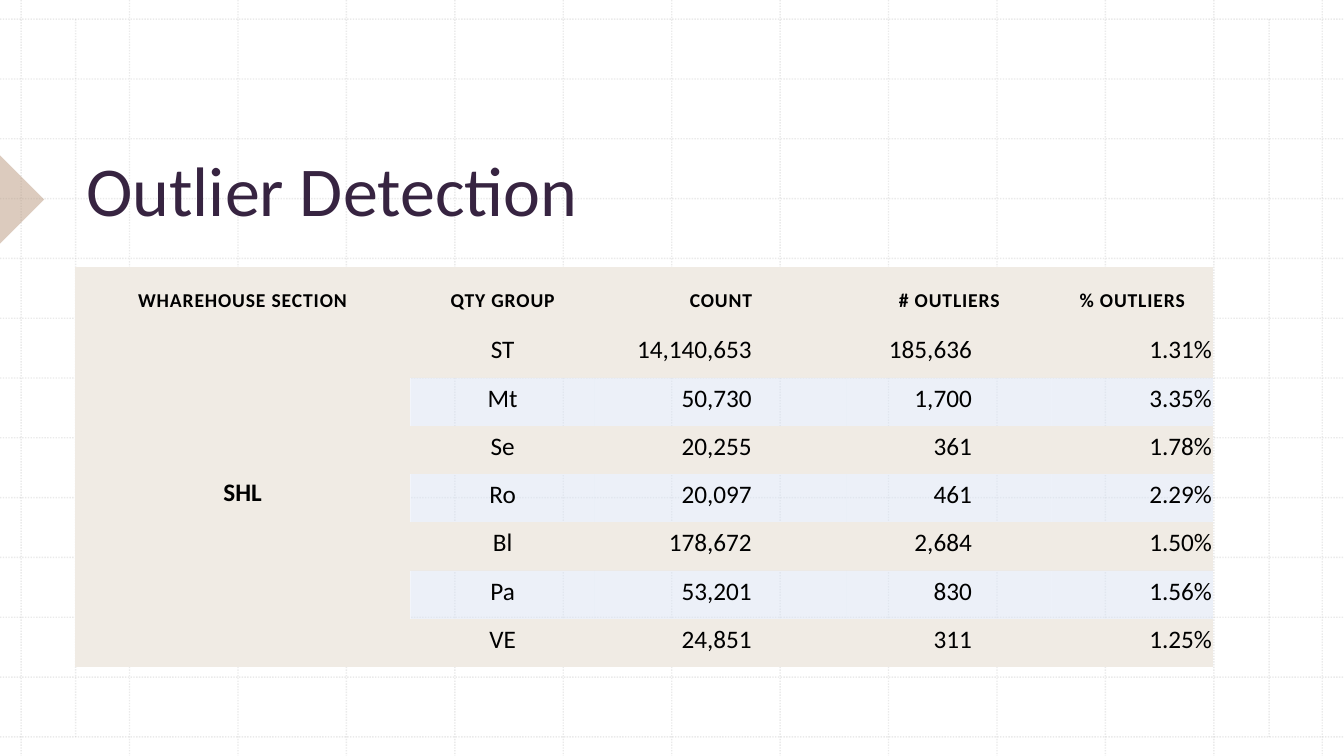
from dataclasses import dataclass

from lxml.etree import SubElement
from pptx import Presentation
from pptx.dml.color import RGBColor
from pptx.enum.dml import MSO_LINE
from pptx.enum.shapes import MSO_CONNECTOR, MSO_SHAPE
from pptx.enum.text import MSO_ANCHOR, PP_ALIGN
from pptx.oxml.ns import qn
from pptx.util import Pt


@dataclass(frozen=True)
class Theme:
    font: str = "Calibri"
    title: RGBColor = RGBColor(0x37, 0x24, 0x41)
    ink: RGBColor = RGBColor(0, 0, 0)
    grid: RGBColor = RGBColor(0xBC, 0xBC, 0xBC)
    marker: RGBColor = RGBColor(0xBA, 0x99, 0x7F)
    sand: RGBColor = RGBColor(0xF0, 0xEB, 0xE4)
    band: RGBColor = RGBColor(0xDA, 0xE3, 0xF3)
    title_size: Pt = Pt(50)
    header_size: Pt = Pt(14)
    body_size: Pt = Pt(18)


def set_opacity(element, percent):
    color = next(element.iter(qn("a:srgbClr")))
    SubElement(color, qn("a:alpha")).set("val", str(percent * 1000))


def style_paragraph(para, size, color, bold=False):
    para.font.name = theme.font
    para.font.size = size
    para.font.bold = bold
    para.font.color.rgb = color


theme = Theme()
width, height = 960, 540
deck = Presentation()
deck.slide_width, deck.slide_height = Pt(width), Pt(height)
page = deck.slides.add_slide(deck.slide_layouts[6])

top, bottom = 13.7, 526.3
verticals = [(15.1 + 77.45 * i, 0, 15.1 + 77.45 * i, height) for i in range(13)]
horizontals = [(0, top + 42.72 * i, width, top + 42.72 * i) for i in range(13)]
margins = [(x, top, x, bottom) for x in (54, 906.5)]
for ends in verticals + horizontals + margins:
    grid_line = page.shapes.add_connector(MSO_CONNECTOR.STRAIGHT, *map(Pt, ends))
    grid_line.line.color.rgb = theme.grid
    grid_line.line.width = Pt(1)
    grid_line.line.dash_style = MSO_LINE.ROUND_DOT
    properties = grid_line._element.spPr
    set_opacity(properties, 30)
    SubElement(properties, qn("a:effectLst"))

marker = page.shapes.add_shape(
    MSO_SHAPE.RIGHT_TRIANGLE, Pt(-22.3), Pt(120.2), Pt(44.6), Pt(44.6)
)
marker.rotation = 225
marker.shadow.inherit = False
marker.line.fill.background()
marker.fill.solid()
marker.fill.fore_color.rgb = theme.marker
set_opacity(marker._element.spPr, 50)

title_box = page.shapes.add_textbox(Pt(54.7), Pt(56.9), Pt(426), Pt(111))
title_box.text_frame.word_wrap = True
title_box.text_frame.vertical_anchor = MSO_ANCHOR.BOTTOM
title = title_box.text_frame.paragraphs[0]
title.text = "Outlier Detection"
style_paragraph(title, theme.title_size, theme.title)

rows = [
    ("WHAREHOUSE SECTION", "QTY GROUP", "COUNT", "# OUTLIERS", "% OUTLIERS"),
    ("SHL", "ST", "14,140,653", "185,636", "1.31%"),
    ("", "Mt", "50,730", "1,700", "3.35%"),
    ("", "Se", "20,255", "361", "1.78%"),
    ("", "Ro", "20,097", "461", "2.29%"),
    ("", "Bl", "178,672", "2,684", "1.50%"),
    ("", "Pa", "53,201", "830", "1.56%"),
    ("", "VE", "24,851", "311", "1.25%"),
]
column_widths = [239.8, 131.8, 180, 146.2, 115.2]
row_heights = [44.6] + [34.46] * 7
right_insets = [0.7, 0.7, 68, 57, 0.7]
alignments = [PP_ALIGN.CENTER] * 2 + [PP_ALIGN.RIGHT] * 3

frame = page.shapes.add_table(
    len(rows), len(column_widths), Pt(53.4), Pt(190.8),
    Pt(sum(column_widths)), Pt(sum(row_heights)),
)
table = frame.table
table.first_row = table.horz_banding = False
style_id = next(table._tbl.iter(qn("a:tableStyleId")))
style_id.text = "{2D5ABB26-0587-4C30-8999-92F81FD0307C}"
for column, column_width in zip(table.columns, column_widths):
    column.width = Pt(column_width)
for row, row_height in zip(table.rows, row_heights):
    row.height = Pt(row_height)
table.cell(1, 0).merge(table.cell(len(rows) - 1, 0))

for r, values in enumerate(rows):
    header = r == 0
    for c, value in enumerate(values):
        cell = table.cell(r, c)
        banded = c > 0 and r > 0 and r % 2 == 0
        cell.fill.solid()
        cell.fill.fore_color.rgb = theme.band if banded else theme.sand
        if banded:
            set_opacity(cell._tc.tcPr, 50)
        if cell.is_spanned:
            continue
        cell.vertical_anchor = MSO_ANCHOR.MIDDLE if cell.is_merge_origin else MSO_ANCHOR.BOTTOM
        cell.margin_left = cell.margin_top = Pt(12 if header else 0.7)
        cell.margin_right = Pt(12 if header else right_insets[c])
        cell.margin_bottom = Pt(12 if header else 8.6)
        para = cell.text_frame.paragraphs[0]
        para.alignment = PP_ALIGN.CENTER if header else alignments[c]
        span = para.add_run()
        span.text = value
        style_paragraph(
            para, theme.header_size if header else theme.body_size,
            theme.ink, bold=header or c == 0,
        )
        if header:
            span._r.get_or_add_rPr().set("spc", "60")

deck.save("out.pptx")
